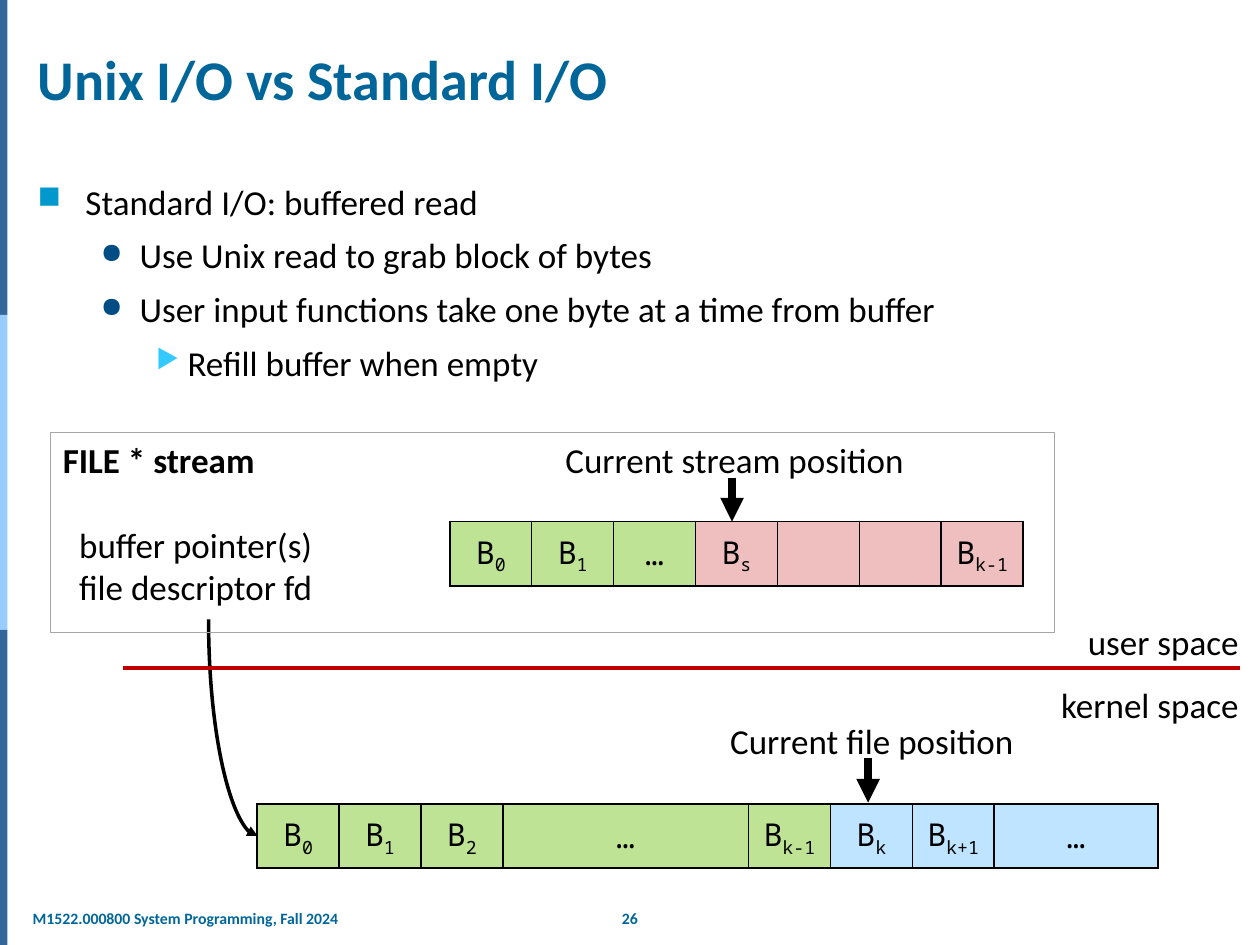
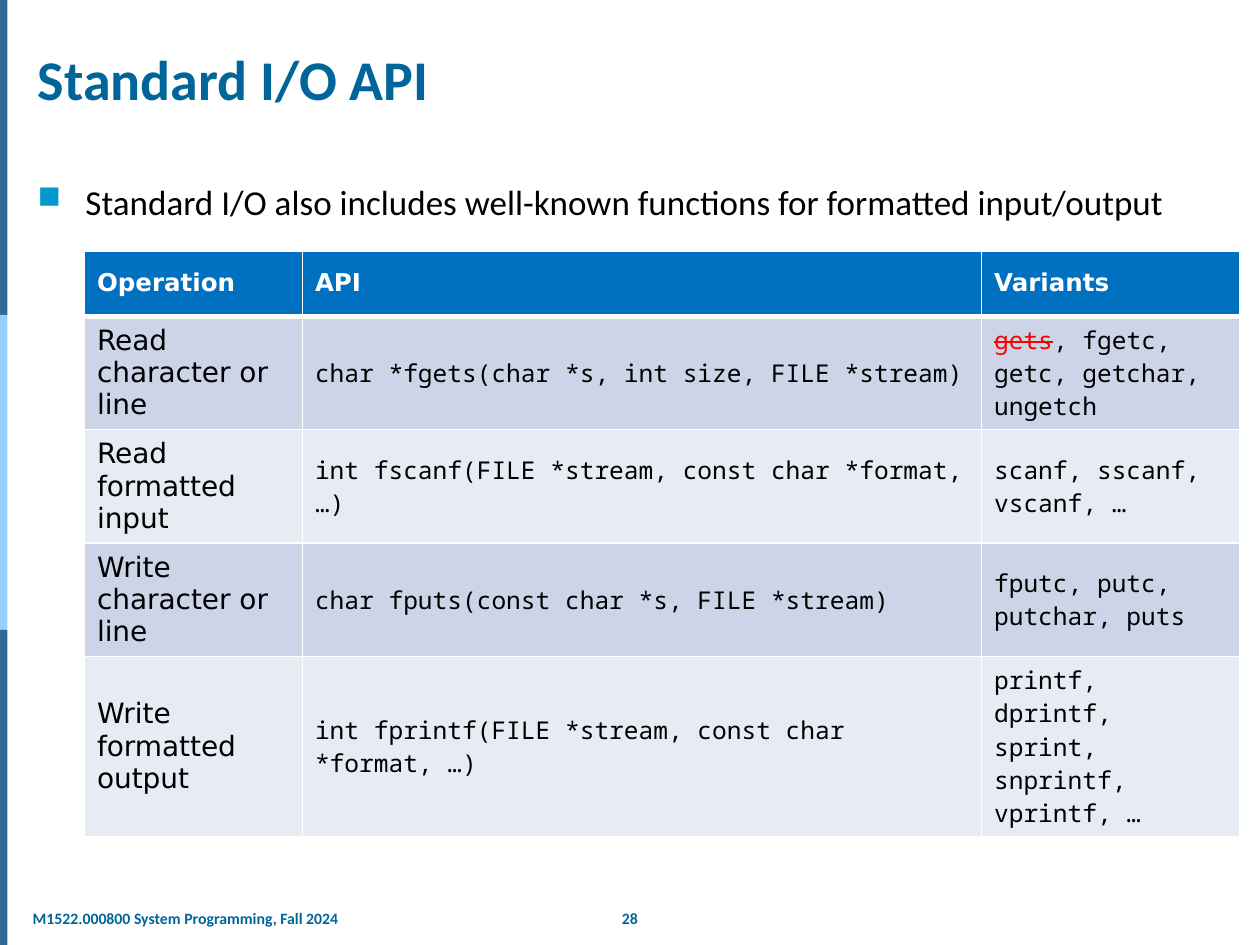
import lxml.etree
import pptx
import pptx.dml.color
import pptx.enum.shapes
import pptx.enum.text
import pptx.oxml.ns
import pptx.util

Inches = pptx.util.Inches
Pt = pptx.util.Pt
RGBColor = pptx.dml.color.RGBColor
Align = pptx.enum.text.PP_ALIGN
Anchor = pptx.enum.text.MSO_ANCHOR
Connector = pptx.enum.shapes.MSO_CONNECTOR
RECTANGLE = pptx.enum.shapes.MSO_SHAPE.RECTANGLE
qn = pptx.oxml.ns.qn

BLACK = RGBColor(0x00, 0x00, 0x00)
WHITE = RGBColor(0xFF, 0xFF, 0xFF)
TITLE_BLUE = RGBColor(0x00, 0x66, 0x99)
BAND_DARK = RGBColor(0x33, 0x66, 0x99)
BAND_LIGHT = RGBColor(0x99, 0xCC, 0xFF)
FRAME_GRAY = RGBColor(0xA6, 0xA6, 0xA6)
DIVIDER_RED = RGBColor(0xC0, 0x00, 0x00)
STRIKE_RED = RGBColor(0xFF, 0x00, 0x00)
CONSUMED_GREEN = RGBColor(0xBE, 0xE3, 0x95)
BUFFERED_PINK = RGBColor(0xEF, 0xBF, 0xBF)
UNREAD_BLUE = RGBColor(0xBF, 0xE4, 0xFF)
HEADER_BLUE = RGBColor(0x00, 0x70, 0xC0)
ROW_DARK = RGBColor(0xCC, 0xD5, 0xE8)
ROW_LIGHT = RGBColor(0xE7, 0xEB, 0xF4)

TEXT_FONT = "Calibri"
TABLE_FONT = "DejaVu Sans"
CODE_FONT = "Noto Sans Mono"
COURSE = "M1522.000800 System Programming, Fall 2024"
BULLETS = [
    ("■", RGBColor(0x00, 0x98, 0xCD), 90, 0.38, -0.38),
    ("●", RGBColor(0x00, 0x4D, 0x86), 80, 0.81, -0.31),
    ("▶", RGBColor(0x35, 0xCA, 0xFF), 75, 1.19, -0.25),
]
BYTE_WIDTH = 0.65
API_ROW_HEIGHTS = [0.52, 0.9, 0.87, 0.87, 1.43]


def add_xml(parent, tag, **attributes):
    return lxml.etree.SubElement(parent, qn(tag), attributes)


def style_runs(para, size, font=TEXT_FONT, color=BLACK, bold=False):
    for span in para.runs:
        span.font.size = Pt(size)
        span.font.name = font
        span.font.color.rgb = color
        span.font.bold = bold


class SlideWriter:
    def __init__(self):
        self.deck = pptx.Presentation()
        self.deck.slide_width = Inches(10)
        self.deck.slide_height = Inches(7.5)
        self.page = None

    def start_page(self, title, number):
        self.page = self.deck.slides.add_slide(self.deck.slide_layouts[5])
        for index, color in enumerate((BAND_DARK, BAND_LIGHT, BAND_DARK)):
            self.rectangle(0, 2.5 * index, 0.06, 2.5, fill=color)
        self.text(4.82, 7.16, 0.36, 0.25, [str(number)], Align.CENTER, 9, TITLE_BLUE, True)
        footer = self.text(0.2, 7.16, 2.57, 0.25, [COURSE], Align.LEFT, 9, TITLE_BLUE, True)
        footer.text_frame.margin_left = footer.text_frame.margin_right = Inches(0.06)
        box = self.page.shapes.title
        box.left, box.top, box.width, box.height = map(Inches, (0.2, 0.31, 9.65, 0.63))
        frame = box.text_frame
        frame.text = title
        frame.auto_size = pptx.enum.text.MSO_AUTO_SIZE.NONE
        frame.vertical_anchor = Anchor.BOTTOM
        frame.paragraphs[0].alignment = Align.LEFT
        style_runs(frame.paragraphs[0], 32, color=TITLE_BLUE, bold=True)

    def rectangle(self, left, top, width, height, fill=None, line=None):
        box = self.page.shapes.add_shape(RECTANGLE, *map(Inches, (left, top, width, height)))
        box.shadow.inherit = False
        if fill is None:
            box.fill.background()
        else:
            box.fill.solid()
            box.fill.fore_color.rgb = fill
        if line is None:
            box.line.fill.background()
        else:
            box.line.color.rgb = line
            box.line.width = Pt(0.75)
        return box

    def text(self, left, top, width, height, lines, align=Align.LEFT, size=20,
             color=BLACK, bold=False, spacing=None, wrap=False):
        box = self.page.shapes.add_textbox(*map(Inches, (left, top, width, height)))
        box.text_frame.word_wrap = wrap
        box.text_frame.text = "\n".join(lines)
        for para in box.text_frame.paragraphs:
            para.alignment = align
            para.line_spacing = spacing
            style_runs(para, size, color=color, bold=bold)
        return box

    def bullets(self, items):
        box = self.text(0.2, 1.38, 9.65, 5.71, [line for _, line in items], wrap=True)
        for index, (para, (level, _)) in enumerate(zip(box.text_frame.paragraphs, items)):
            symbol, color, percent, margin, indent = BULLETS[level]
            para.level = level
            para.space_before = Pt(6.7 if index else 0)
            properties = para._p.get_or_add_pPr()
            properties.set("marL", str(Inches(margin)))
            properties.set("indent", str(Inches(indent)))
            add_xml(add_xml(properties, "a:buClr"), "a:srgbClr", val=str(color))
            add_xml(properties, "a:buSzPct", val=str(percent * 1000))
            add_xml(properties, "a:buChar", char=symbol)

    def line(self, start, end, color, width, arrow=False, kind=Connector.STRAIGHT):
        connector = self.page.shapes.add_connector(kind, *map(Inches, (*start, *end)))
        connector.line.color.rgb = color
        connector.line.width = Pt(width)
        if arrow:
            add_xml(connector.line._get_or_add_ln(), "a:tailEnd", type="triangle")
        add_xml(connector._element.spPr, "a:effectLst")
        return connector

    def descriptor_curve(self):
        curve = self.line((2.71, 5.58), (0.99, 5.97), BLACK, 2, True, Connector.CURVE)
        properties = curve._element.spPr
        properties.find(qn("a:prstGeom")).set("prst", "curvedConnector2")
        properties.find(qn("a:xfrm")).set("rot", str(270 * 60000))

    def table(self, left, top, widths, heights):
        frame = self.page.shapes.add_table(
            len(heights), len(widths), Inches(left), Inches(top),
            Inches(sum(widths)), Inches(sum(heights)))
        table = frame.table
        table.first_row = table.horz_banding = False
        for column, width in zip(table.columns, widths):
            column.width = Inches(width)
        for row, height in zip(table.rows, heights):
            row.height = Inches(height)
        return table

    def cell(self, cell, text, fill, border, bottom=1):
        properties = cell._tc.get_or_add_tcPr()
        for side, width in (("L", 1), ("R", 1), ("T", 1), ("B", bottom)):
            edge = add_xml(properties, "a:ln" + side, w=str(Pt(width)))
            add_xml(add_xml(edge, "a:solidFill"), "a:srgbClr", val=str(border))
        cell.fill.solid()
        cell.fill.fore_color.rgb = fill
        cell.vertical_anchor = Anchor.MIDDLE
        cell.text_frame.text = text
        return cell.text_frame.paragraphs

    def byte_row(self, left, top, entries):
        table = self.table(left, top, [BYTE_WIDTH * units for _, units, _ in entries], [0.51])
        for cell, (label, _, fill) in zip(table.rows[0].cells, entries):
            base, _, subscript = label.partition("_")
            para = self.cell(cell, base, fill, BLACK)[0]
            cell.margin_left = cell.margin_right = Inches(0.05)
            para.alignment = Align.CENTER
            if subscript:
                span = para.add_run()
                span.text = subscript
                span.font._element.set("baseline", "-25000")
            style_runs(para, 18, CODE_FONT)

    def api_table(self, header, rows):
        table = self.table(0.67, 1.99, [1.73, 5.39, 2.05], API_ROW_HEIGHTS)
        for cell, label in zip(table.rows[0].cells, header):
            para = self.cell(cell, label, HEADER_BLUE, WHITE, bottom=3)[0]
            style_runs(para, 14, TABLE_FONT, WHITE, True)
        for index, values in enumerate(rows):
            fill = ROW_LIGHT if index % 2 else ROW_DARK
            for column, value in enumerate(values):
                size, font = (14, CODE_FONT) if column else (16, TABLE_FONT)
                for para in self.cell(table.cell(index + 1, column), value, fill, WHITE):
                    style_runs(para, size, font)
        return table


def strike_first_word(para, word):
    first = para.runs[0]
    rest = para.add_run()
    rest.text = first.text[len(word):]
    first.text = word
    style_runs(para, 14, CODE_FONT)
    first.font.color.rgb = STRIKE_RED
    first.font._element.set("strike", "sngStrike")


def build_buffering(writer):
    writer.start_page("Unix I/O vs Standard I/O", 26)
    writer.bullets([
        (0, "Standard I/O: buffered read"),
        (1, "Use Unix read to grab block of bytes"),
        (1, "User input functions take one byte at a time from buffer"),
        (2, "Refill buffer when empty"),
    ])
    writer.line((6.89, 6.02), (6.89, 6.37), BLACK, 4.5, arrow=True)
    writer.text(5.65, 5.66, 2.54, 0.44, ["Current file position"], Align.CENTER)
    writer.byte_row(2.04, 6.38, [
        ("B_0", 1, CONSUMED_GREEN), ("B_1", 1, CONSUMED_GREEN), ("B_2", 1, CONSUMED_GREEN),
        ("…", 3, CONSUMED_GREEN), ("B_k-1", 1, CONSUMED_GREEN),
        ("B_k", 1, UNREAD_BLUE), ("B_k+1", 1, UNREAD_BLUE), ("…", 2, UNREAD_BLUE),
    ])
    writer.descriptor_curve()

    frame = writer.rectangle(0.4, 3.43, 7.97, 1.59, line=FRAME_GRAY).text_frame
    frame.vertical_anchor = Anchor.TOP
    frame.text = "FILE * stream\nbuffer pointer(s)\nfile descriptor fd"
    for index, para in enumerate(frame.paragraphs):
        para.alignment = Align.LEFT
        style_runs(para, 20, bold=index == 0)
        if index:
            para._p.get_or_add_pPr().set("marL", str(Inches(0.13)))
    frame.paragraphs[1].space_before = Pt(24.4)

    writer.byte_row(3.57, 4.14, [
        ("B_0", 1, CONSUMED_GREEN), ("B_1", 1, CONSUMED_GREEN), ("…", 1, CONSUMED_GREEN),
        ("B_s", 1, BUFFERED_PINK), ("", 1, BUFFERED_PINK), ("", 1, BUFFERED_PINK),
        ("B_k-1", 1, BUFFERED_PINK),
    ])
    writer.line((0.98, 5.3), (9.84, 5.3), DIVIDER_RED, 2.5)
    writer.text(8.3, 4.71, 1.63, 1.11, ["user space", "kernel space"], Align.RIGHT, spacing=1.5)
    writer.line((5.81, 3.79), (5.81, 4.14), BLACK, 4.5, arrow=True)
    writer.text(4.37, 3.43, 2.92, 0.44, ["Current stream position"], Align.CENTER)


def build_api(writer):
    writer.start_page("Standard I/O API", 28)
    writer.bullets([
        (0, "Standard I/O also includes well-known functions for formatted input/output"),
    ])
    table = writer.api_table(["Operation", "API", "Variants"], [
        ("Read character or line", "char *fgets(char *s, int size, FILE *stream)",
         "gets, fgetc, getc, getchar, ungetch"),
        ("Read formatted input", "int fscanf(FILE *stream, const char *format, …)",
         "scanf, sscanf,\nvscanf, …"),
        ("Write character or line", "char fputs(const char *s, FILE *stream)",
         "fputc, putc, putchar, puts"),
        ("Write formatted output", "int fprintf(FILE *stream, const char *format, …)",
         "printf, dprintf, sprint, snprintf, vprintf, …"),
    ])
    strike_first_word(table.cell(1, 2).text_frame.paragraphs[0], "gets")


def main():
    writer = SlideWriter()
    build_buffering(writer)
    build_api(writer)
    writer.deck.save("out.pptx")


if __name__ == "__main__":
    main()
